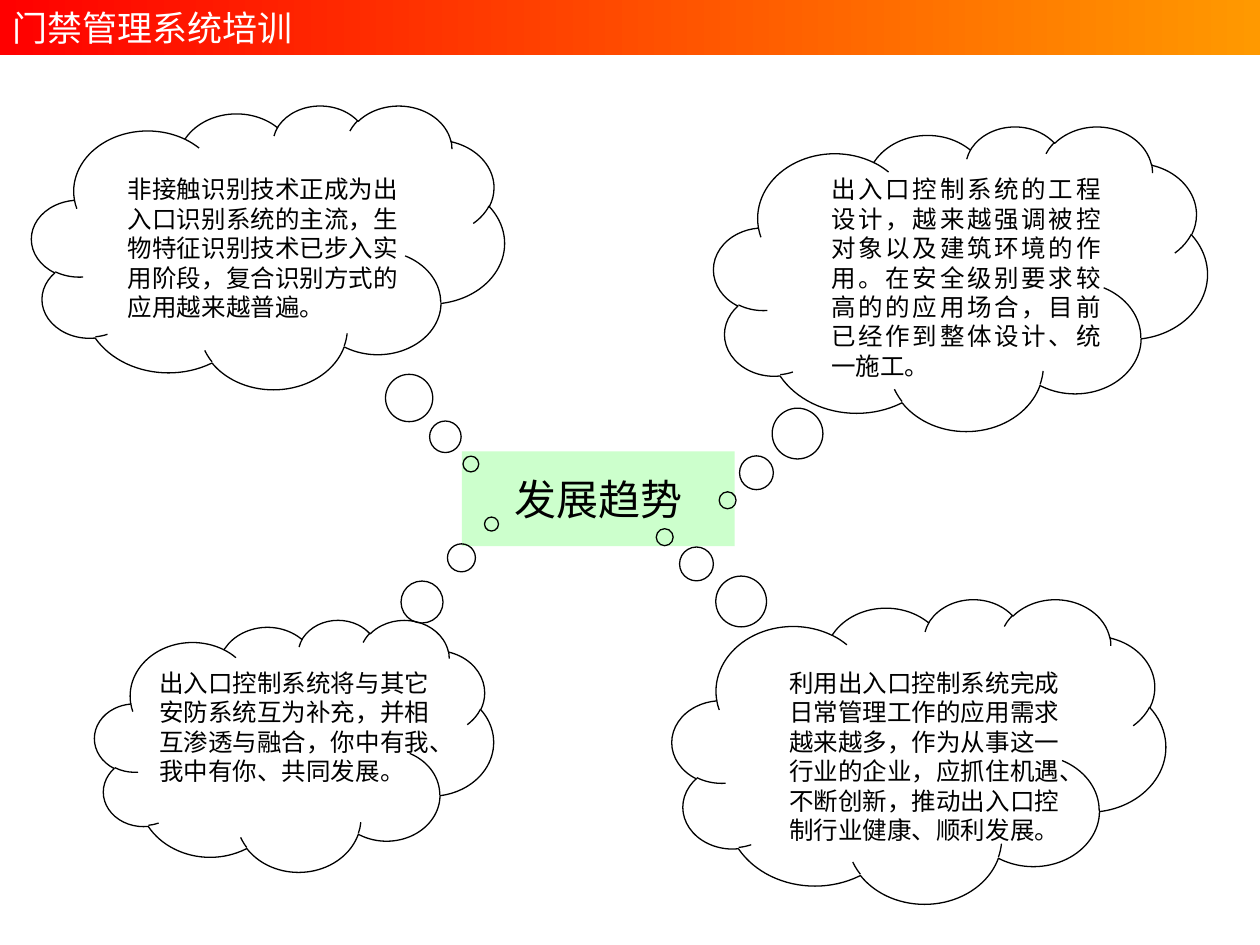
"""Build the slide on development trends in access control systems."""
from lxml import etree
from pptx import Presentation
from pptx.dml.color import RGBColor
from pptx.enum.shapes import MSO_SHAPE
from pptx.enum.text import MSO_ANCHOR, PP_ALIGN
from pptx.oxml.ns import qn
from pptx.util import Cm, Pt

RECTANGLE, CLOUD = MSO_SHAPE.RECTANGLE, MSO_SHAPE.CLOUD_CALLOUT
TOP, MIDDLE = MSO_ANCHOR.TOP, MSO_ANCHOR.MIDDLE
LEFT, CENTER, JUSTIFY = PP_ALIGN.LEFT, PP_ALIGN.CENTER, PP_ALIGN.JUSTIFY
BLACK = RGBColor(0x00, 0x00, 0x00)
WHITE = RGBColor(0xFF, 0xFF, 0xFF)
RED = RGBColor(0xFF, 0x00, 0x00)
ORANGE = RGBColor(0xFF, 0x99, 0x00)
PALE_GREEN = RGBColor(0xCC, 0xFF, 0xCC)
BODY_FONT = "Noto Sans CJK SC"

HEADER = [("门禁管理", "Quicksand"), ("系统培训", "Times New Roman")]
TOPIC = "发展趋势"
TRENDS = [
    {"text": "非接触识别技术正成为出入口识别系统的主流，生物特征识别技术已步入实用阶段，复合识别方式的应用越来越普遍。",
     "cloud": (0.64, 2.12, 9.53, 5.72), "tail": (0.429, 0.765),
     "words": (2.33, 3.39, 6.14, 3.23), "align": LEFT},
    {"text": "出入口控制系统的工程设计，越来越强调被控对象以及建筑环境的作用。在安全级别要求较高的的应用场合，目前已经作到整体设计、统一施工。",
     "cloud": (14.39, 2.54, 9.95, 6.14), "tail": (-0.472, 0.729),
     "words": (16.51, 3.39, 5.93, 4.42), "align": JUSTIFY},
    {"text": "出入口控制系统将与其它安防系统互为补充，并相互渗透与融合，你中有我、我中有你、共同发展。",
     "cloud": (1.91, 12.49, 8.04, 5.08), "tail": (0.495, -0.879),
     "words": (2.96, 13.34, 6.14, 2.64), "align": LEFT},
    {"text": "利用出入口控制系统完成日常管理工作的应用需求越来越多，作为从事这一行业的企业，应抓住机遇、不断创新，推动出入口控制行业健康、顺利发展。",
     "cloud": (13.55, 12.07, 9.95, 6.14), "tail": (-0.515, -0.702),
     "words": (15.66, 13.34, 6.14, 3.81), "align": LEFT},
]


def add_preset(shapes, preset, box):
    shape = shapes.add_shape(preset, *map(Cm, box))
    shape.shadow.inherit = False
    return shape


def write(frame, text, size, align, anchor):
    frame.word_wrap = True
    frame.vertical_anchor = anchor
    paragraph = frame.paragraphs[0]
    paragraph.text = text
    paragraph.alignment = align
    font = paragraph.font
    font.size, font.name = Pt(size), BODY_FONT
    font.color.rgb = BLACK
    latin = paragraph._p.pPr.find(qn("a:defRPr")).find(qn("a:latin"))
    east_asian = etree.Element(qn("a:ea"), typeface=BODY_FONT)
    latin.addnext(east_asian)


def add_header(shapes):
    banner = add_preset(shapes, RECTANGLE, (0, 0, 25.4, 1.11))
    banner.line.fill.background()
    banner.fill.gradient()
    banner.fill.gradient_angle = 0
    for stop, color in zip(banner.fill.gradient_stops, (RED, ORANGE)):
        stop.color.rgb = color
    frame = banner.text_frame
    frame.vertical_anchor = TOP
    paragraph = frame.paragraphs[0]
    paragraph.alignment = LEFT
    for text, font_name in HEADER:
        run = paragraph.add_run()
        run.text = text
        run.font.name, run.font.size = font_name, Pt(20)
        run.font.color.rgb = WHITE


def add_topic(shapes):
    topic = add_preset(shapes, RECTANGLE, (9.31, 9.1, 5.5, 1.91))
    topic.fill.solid()
    topic.fill.fore_color.rgb = PALE_GREEN
    topic.line.fill.background()
    write(topic.text_frame, TOPIC, 24, CENTER, MIDDLE)


def add_trend(shapes, trend):
    group = shapes.add_group_shape()
    cloud = add_preset(group.shapes, CLOUD, trend["cloud"])
    for index, offset in enumerate(trend["tail"]):
        cloud.adjustments[index] = offset
    cloud.fill.background()
    cloud.line.color.rgb = BLACK
    cloud.line.width = Pt(0.75)
    words = group.shapes.add_textbox(*map(Cm, trend["words"]))
    write(words.text_frame, trend["text"], 14, trend["align"], TOP)


def main():
    deck = Presentation()
    deck.slide_width, deck.slide_height = Cm(25.4), Cm(19.05)
    shapes = deck.slides.add_slide(deck.slide_layouts[6]).shapes
    add_header(shapes)
    add_topic(shapes)
    for trend in TRENDS:
        add_trend(shapes, trend)
    deck.save("out.pptx")


if __name__ == "__main__":
    main()
